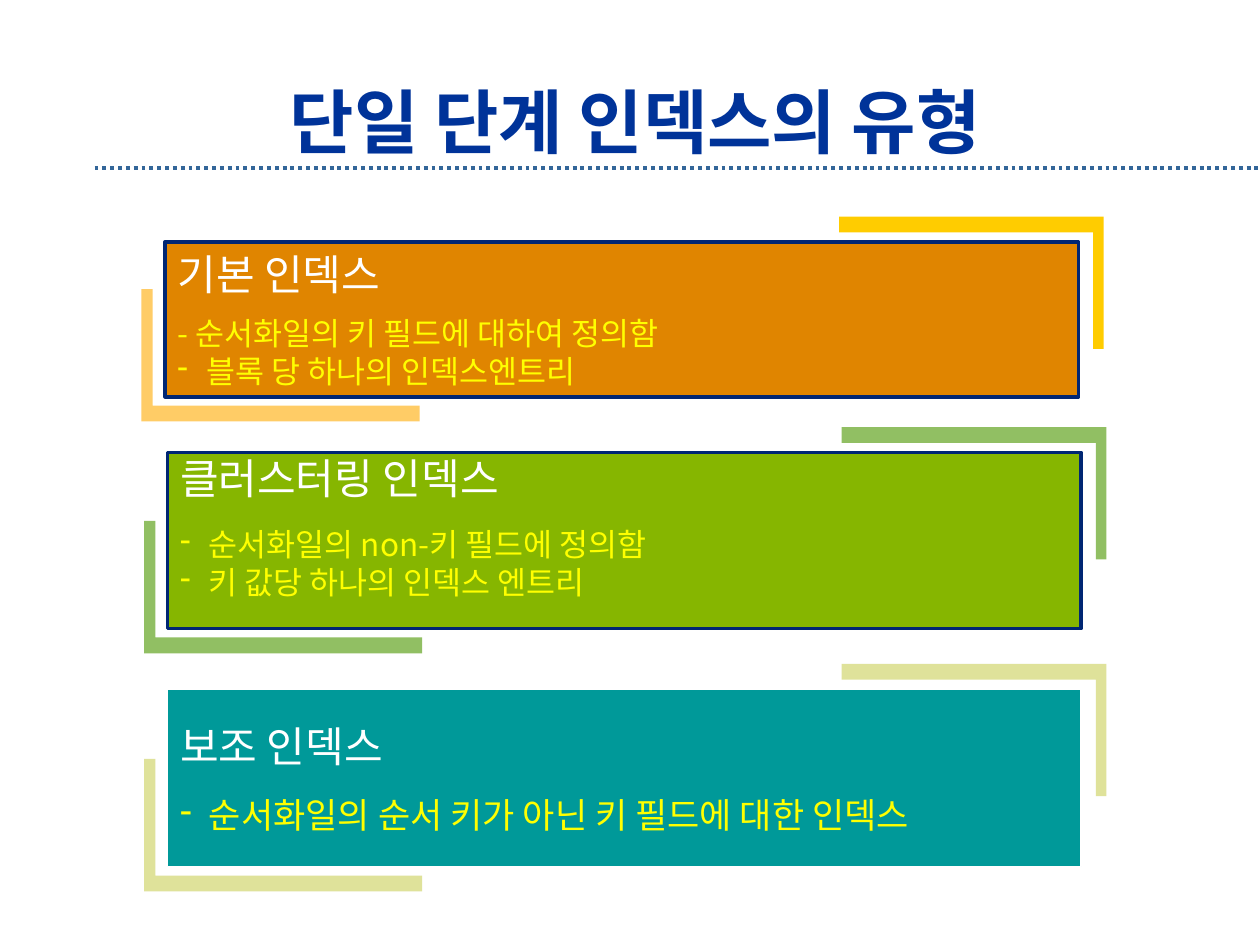
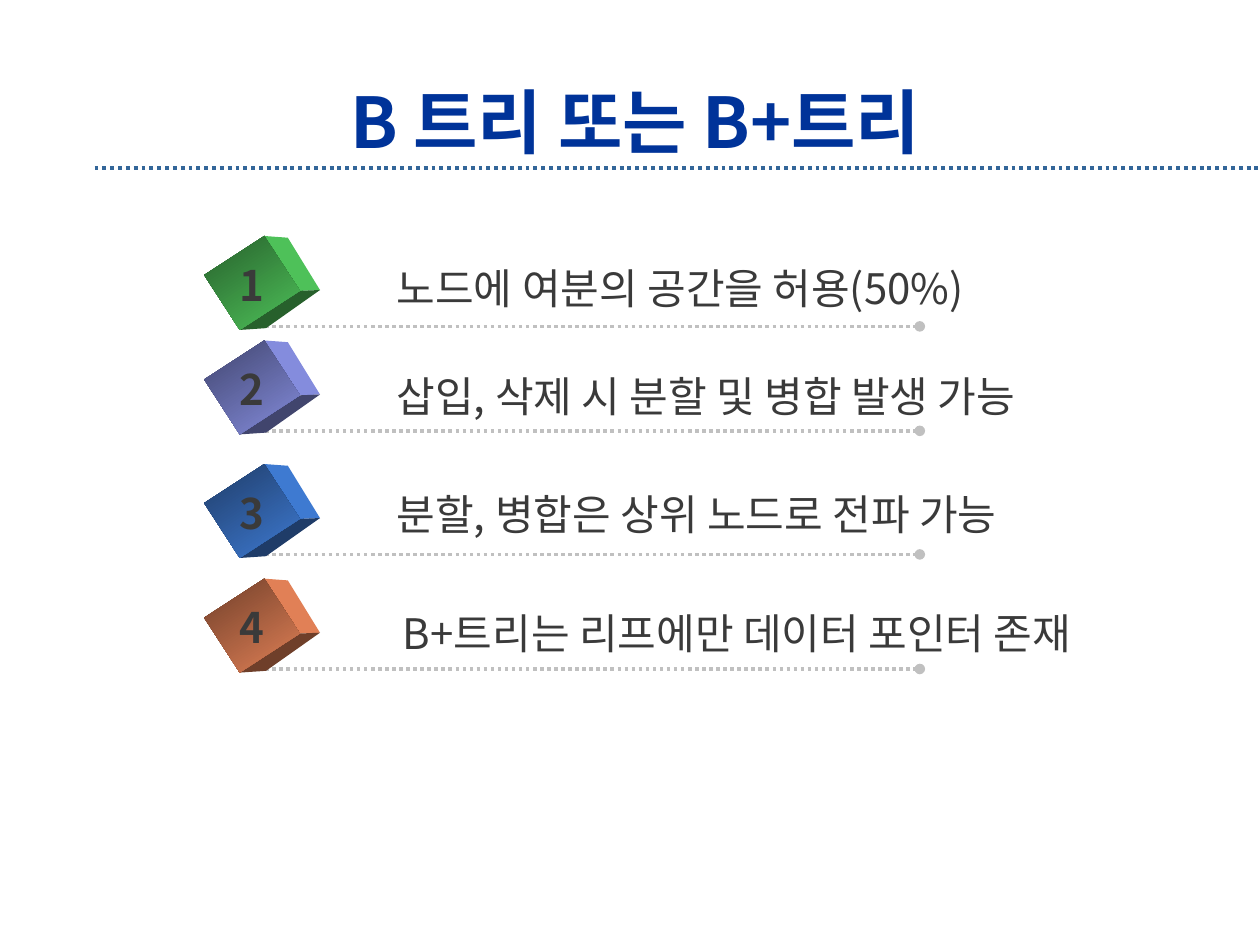
from math import cos, radians, sin

from lxml import etree
from pptx import Presentation
from pptx.dml.color import RGBColor
from pptx.enum.dml import MSO_LINE
from pptx.enum.shapes import MSO_CONNECTOR, MSO_SHAPE
from pptx.enum.text import MSO_ANCHOR, PP_ALIGN
from pptx.oxml.ns import qn
from pptx.util import Pt

STRAIGHT = MSO_CONNECTOR.STRAIGHT
RECTANGLE = MSO_SHAPE.RECTANGLE
DOTTED = MSO_LINE.ROUND_DOT
MIDDLE, TOP = MSO_ANCHOR.MIDDLE, MSO_ANCHOR.TOP
LEFT, CENTER = PP_ALIGN.LEFT, PP_ALIGN.CENTER

FONT = "Noto Sans CJK KR"
LINE_HEIGHT = 1.2
TITLE_BLUE = RGBColor(0x00, 0x33, 0x99)
RULE_BLUE = RGBColor(0x33, 0x66, 0x99)
NAVY = RGBColor(0x00, 0x26, 0x73)
WHITE = RGBColor(0xFF, 0xFF, 0xFF)
YELLOW = RGBColor(0xFF, 0xFF, 0x00)
SILVER = RGBColor(0xC0, 0xC0, 0xC0)
CHARCOAL = RGBColor(0x3A, 0x3A, 0x3A)
ORANGE = RGBColor(0xE0, 0x85, 0x00)
PALE_ORANGE = RGBColor(0xFF, 0xCC, 0x66)
GOLD = RGBColor(0xFF, 0xCC, 0x00)
GREEN = RGBColor(0x86, 0xB6, 0x00)
PALE_GREEN = RGBColor(0x91, 0xBF, 0x63)
TEAL = RGBColor(0x00, 0x99, 0x99)
PALE_OLIVE = RGBColor(0xDF, 0xE2, 0x9A)

# Content: index types, each note being (text, bulleted)
INDEX_TITLE = "단일 단계 인덱스의 유형"
INDEX_TYPES = [
    dict(name="기본 인덱스", box=(94.3, 138.2, 522, 88.6), fill=ORANGE,
         border=(NAVY, 2), brackets=(PALE_ORANGE, GOLD),
         note_size=18, gap=8.4, insets=(3.6, 3.6),
         notes=[("- 순서화일의 키 필드에 대하여 정의함", False),
                ("블록 당 하나의 인덱스엔트리", True)]),
    dict(name="클러스터링 인덱스", box=(95.8, 258.5, 522, 100.8), fill=GREEN,
         border=(NAVY, 2), brackets=(PALE_GREEN, PALE_GREEN),
         note_size=18, gap=12.6, insets=(0, 16),
         notes=[("순서화일의 non-키 필드에 정의함", True),
                ("키 값당 하나의 인덱스 엔트리", True)]),
    dict(name="보조 인덱스", box=(95.8, 393.8, 522, 101.5), fill=TEAL,
         border=(WHITE, 0.75), brackets=(PALE_OLIVE, PALE_OLIVE),
         note_size=20, gap=13.2, insets=(3.6, 3.6),
         notes=[("순서화일의 순서 키가 아닌 키 필드에 대한 인덱스", True)]),
]

# Content: tree properties as text, text left, text top, width, rule y, colour
TREE_TITLE = "B 트리 또는 B+트리"
TREE_POINTS = [
    ("노드에 여분의 공간을 허용(50%)", 219.6, 146.2, 373, 186.5, (0x54, 0xD0, 0x60)),
    ("삽입, 삭제 시 분할 및 병합 발생 가능", 219.6, 208.1, 418, 246.2, (0x8E, 0x97, 0xEE)),
    ("분할, 병합은 상위 노드로 전파 가능", 219.6, 275.8, 402, 316.8, (0x43, 0x83, 0xE1)),
    ("B+트리는 리프에만 데이터 포인터 존재", 223.2, 343.4, 446, 382.3, (0xF2, 0x8A, 0x5C)),
]


def points(*values):
    return [Pt(value) for value in values]


def format_paragraph(paragraph, size, color, bold=False, align=LEFT):
    paragraph.alignment = align
    font = paragraph.font
    font.size, font.bold, font.name = Pt(size), bold, FONT
    font.color.rgb = color
    properties = paragraph._p.pPr.find(qn("a:defRPr"))
    etree.SubElement(properties, qn("a:ea")).set("typeface", FONT)


def set_line_height(paragraph, size):
    paragraph.line_spacing = Pt(round(size * LINE_HEIGHT, 1))


def add_dash_bullet(paragraph):
    properties = paragraph._p.pPr
    properties.set("marL", str(Pt(16.5)))
    properties.set("indent", str(-Pt(16.5)))
    bullet = etree.Element(qn("a:buChar"))
    bullet.set("char", "-")
    properties.find(qn("a:defRPr")).addprevious(bullet)


def add_dotted_line(slide, left, right, y, color, width, oval_end=False):
    line = slide.shapes.add_connector(STRAIGHT, *points(left, y, right, y))
    line.line.color.rgb = color
    line.line.width = Pt(width)
    line.line.dash_style = DOTTED
    if oval_end:
        etree.SubElement(line.line._ln, qn("a:tailEnd")).set("type", "oval")
    etree.SubElement(line._element.spPr, qn("a:effectLst"))


def add_polygon(slide, corners, color):
    start, *others = [points(*corner) for corner in corners]
    builder = slide.shapes.build_freeform(*start, scale=1.0)
    builder.add_line_segments(others, close=True)
    shape = builder.convert_to_shape()
    shape.shadow.inherit = False
    shape.fill.solid()
    shape.fill.fore_color.rgb = color
    shape.line.fill.background()


def add_titled_slide(presentation, text):
    slide = presentation.slides.add_slide(presentation.slide_layouts[5])
    title = slide.shapes.title
    title.left, title.top, title.width, title.height = points(54, 48, 618, 42)
    title.text_frame.text = text
    title.text_frame.vertical_anchor = MIDDLE
    format_paragraph(title.text_frame.paragraphs[0], 40, TITLE_BLUE, True, CENTER)
    add_dotted_line(slide, 54, 720, 96, RULE_BLUE, 2.25)
    return slide


def add_bracket(slide, corner_x, corner_y, length, thickness, direction, color):
    """Draw an L from its outer corner; direction 1 opens up-right, -1 down-left."""
    height = 75.6
    outline = [(0, 0), (length, 0), (length, -9), (thickness, -9),
               (thickness, -height), (0, -height)]
    add_polygon(slide, [(corner_x + direction * x, corner_y + direction * y)
                        for x, y in outline], color)


def add_index_type(slide, item):
    left, top, width, height = item["box"]
    lower_color, upper_color = item["brackets"]
    add_bracket(slide, left - 13.5, top + height + 14, 159, 6.5, 1, lower_color)
    add_bracket(slide, left + width + 14.4, top - 14.4, 151.2, 6, -1, upper_color)

    box = slide.shapes.add_shape(RECTANGLE, *points(*item["box"]))
    box.shadow.inherit = False
    box.fill.solid()
    box.fill.fore_color.rgb = item["fill"]
    border_color, border_width = item["border"]
    box.line.color.rgb = border_color
    box.line.width = Pt(border_width)

    frame = box.text_frame
    frame.word_wrap = True
    frame.vertical_anchor = MIDDLE
    frame.margin_top, frame.margin_bottom = points(*item["insets"])
    heading = frame.paragraphs[0]
    heading.text = item["name"]
    format_paragraph(heading, 24, WHITE)
    set_line_height(heading, 24)
    for number, (text, bulleted) in enumerate(item["notes"]):
        note = frame.add_paragraph()
        note.text = text
        format_paragraph(note, item["note_size"], YELLOW)
        set_line_height(note, item["note_size"])
        note.space_before = Pt(0 if number else item["gap"])
        if bulleted:
            add_dash_bullet(note)


def shade(color, factor):
    return RGBColor(*[round(channel * factor) for channel in color])


def add_cube(slide, center_x, center_y, color):
    width, height, angle = 37.4, 41, 57
    cosine, sine = cos(radians(angle)), sin(radians(angle))

    def corner(side_x, side_y):
        x, y = side_x * width / 2, side_y * height / 2
        return center_x + x * cosine - y * sine, center_y + x * sine + y * cosine

    # Side faces run from the front corners to the back ones
    top, right, bottom = corner(-1, -1), corner(1, -1), corner(1, 1)
    depths = [(13.5, 1), (11.5, -0.5), (15, -1)]
    back_top, back_right, back_bottom = [
        (x + dx, y + dy) for (x, y), (dx, dy) in zip((top, right, bottom), depths)]
    add_polygon(slide, [top, back_top, back_right, right], shade(color, 0.93))
    add_polygon(slide, [right, back_right, back_bottom, bottom], shade(color, 0.46))

    front = slide.shapes.add_shape(RECTANGLE, *points(
        center_x - width / 2, center_y - height / 2, width, height))
    front.rotation = angle
    front.shadow.inherit = False
    front.line.fill.background()
    front.fill.gradient()
    front.fill.gradient_angle = 0
    for stop, factor in zip(front.fill.gradient_stops, (0.46, 0.93)):
        stop.color.rgb = shade(color, factor)


def add_label(slide, text, left, top, width, bold=False):
    label = slide.shapes.add_textbox(*points(left, top, width, 36.7))
    label.text_frame.word_wrap = False
    label.text_frame.vertical_anchor = TOP
    paragraph = label.text_frame.paragraphs[0]
    paragraph.text = text
    format_paragraph(paragraph, 24, CHARCOAL, bold)
    set_line_height(paragraph, 24)


presentation = Presentation()
presentation.slide_width, presentation.slide_height = points(720, 540)

# Index types
index_slide = add_titled_slide(presentation, INDEX_TITLE)
for index_type in INDEX_TYPES:
    add_index_type(index_slide, index_type)

# Tree properties
tree_slide = add_titled_slide(presentation, TREE_TITLE)
for number, (text, left, top, width, rule_y, color) in enumerate(TREE_POINTS, 1):
    add_dotted_line(tree_slide, 147.6, 525.6, rule_y, SILVER, 2, oval_end=True)
    add_cube(tree_slide, 144, rule_y - 24.8, color)
    add_label(tree_slide, text, left, top, width)
    add_label(tree_slide, str(number), 129.6, rule_y - 42, 29.5, bold=True)

presentation.save("out.pptx")
